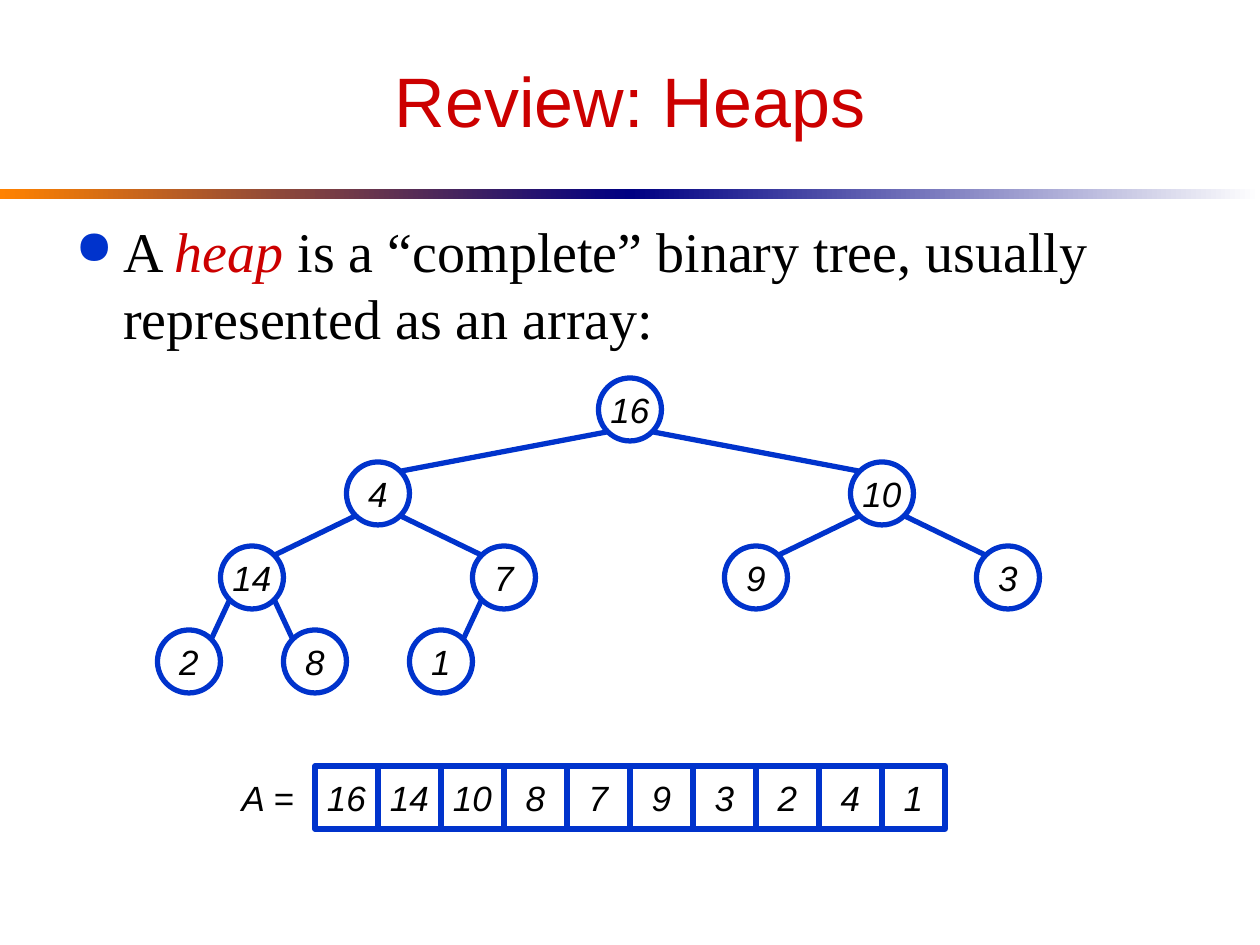
from lxml.etree import SubElement
from pptx import Presentation
from pptx.dml.color import RGBColor
from pptx.enum.shapes import MSO_CONNECTOR, MSO_SHAPE
from pptx.enum.text import MSO_ANCHOR, PP_ALIGN
from pptx.oxml.ns import qn
from pptx.util import Inches, Pt

TITLE = "Review: Heaps"
STATEMENT = [
    ("A ", False),
    ("heap", True),
    (" is a “complete” binary tree, usually represented as an array:", False),
]
TREE_LEVELS = [[16], [4, 10], [14, 7, 9, 3], [2, 8, 1]]
ARRAY_LABEL = "A ="
ARRAY_VALUES = [16, 14, 10, 8, 7, 9, 3, 2, 4, 1]

RED = RGBColor(0xCC, 0x00, 0x00)
BLUE = RGBColor(0x00, 0x33, 0xCC)
BLACK = RGBColor(0x00, 0x00, 0x00)
WHITE = RGBColor(0xFF, 0xFF, 0xFF)
NAVY = RGBColor(0x00, 0x00, 0x82)
ORANGE = RGBColor(0xFF, 0x82, 0x00)

CELL = 0.5
ROOT_X, ROOT_Y = 5, 3.25
LEVEL_STEP = 2 / 3
EDGE_INSET = CELL / 2 * 0.5 ** 0.5
ARRAY_LEFT, ARRAY_TOP = 2.5, 6.08
LABEL_WIDTH = 0.75


def add_span(para, text, size, color, font_name="Arial", italic=False):
    span = para.add_run()
    span.text = text
    span.font.name = font_name
    span.font.size = Pt(size)
    span.font.color.rgb = color
    span.font.italic = italic


def place(shape, left, top, width, height):
    shape.left, shape.top = Inches(left), Inches(top)
    shape.width, shape.height = Inches(width), Inches(height)


def add_centred_text(shape, text):
    frame = shape.text_frame
    frame.word_wrap = False
    frame.vertical_anchor = MSO_ANCHOR.MIDDLE
    para = frame.paragraphs[0]
    para.alignment = PP_ALIGN.CENTER
    add_span(para, text, 20, BLACK, italic=True)


def add_value(shapes, kind, left, top, value):
    """Draw one heap value in a white shape with a blue outline."""
    shape = shapes.add_shape(kind, Inches(left), Inches(top), Inches(CELL), Inches(CELL))
    shape.shadow.inherit = False
    shape.fill.solid()
    shape.fill.fore_color.rgb = WHITE
    shape.line.color.rgb = BLUE
    shape.line.width = Pt(3)
    add_centred_text(shape, str(value))


def add_title(slide):
    title = slide.shapes.title
    place(title, 0.5, 0.25, 9, 1.08)
    title.text_frame.vertical_anchor = MSO_ANCHOR.MIDDLE
    para = title.text_frame.paragraphs[0]
    para.alignment = PP_ALIGN.CENTER
    add_span(para, TITLE, 40, RED)


def add_rule(slide):
    """Draw the two-part gradient bar under the title."""
    for left, left_color, right_color in [(0, ORANGE, NAVY), (5, NAVY, WHITE)]:
        bar = slide.shapes.add_shape(
            MSO_SHAPE.RECTANGLE, Inches(left), Inches(1.5), Inches(5), Inches(0.08))
        bar.shadow.inherit = False
        bar.line.fill.background()
        bar.fill.gradient()
        bar.fill.gradient_angle = 180
        for stop, color in zip(bar.fill.gradient_stops, (right_color, left_color)):
            stop.color.rgb = color


def add_statement(slide):
    box = slide.shapes.add_textbox(Inches(0.5), Inches(1.67), Inches(9), Inches(4.75))
    box.text_frame.word_wrap = True
    para = box.text_frame.paragraphs[0]
    properties = para._p.get_or_add_pPr()
    properties.set("marL", str(Inches(0.38)))
    properties.set("indent", str(-Inches(0.38)))
    bullet_color = SubElement(properties, qn("a:buClr"))
    SubElement(bullet_color, qn("a:srgbClr"), val=str(BLUE))
    SubElement(properties, qn("a:buSzPct"), val="85000")
    SubElement(properties, qn("a:buChar"), char="●")
    for text, is_term in STATEMENT:
        add_span(para, text, 32, RED if is_term else BLACK, "Times New Roman", is_term)


def add_edge(slide, parent, child):
    """Join the lower corner of a parent circle to the upper corner of its child."""
    side = EDGE_INSET if child[0] > parent[0] else -EDGE_INSET
    edge = slide.shapes.add_connector(
        MSO_CONNECTOR.STRAIGHT,
        Inches(parent[0] + side), Inches(parent[1] + EDGE_INSET),
        Inches(child[0] - side), Inches(child[1] - EDGE_INSET))
    edge.line.color.rgb = BLUE
    edge.line.width = Pt(3)
    SubElement(edge._element.spPr, qn("a:effectLst"))


def add_tree(slide):
    centres = [[(ROOT_X, ROOT_Y)]]
    edges = []
    for depth, values in enumerate(TREE_LEVELS[1:], start=1):
        spread = 4 / 2 ** depth
        row = []
        for index in range(len(values)):
            parent = centres[-1][index // 2]
            x = parent[0] + (spread if index % 2 else -spread)
            child = (x, ROOT_Y + depth * LEVEL_STEP)
            row.append(child)
            edges.append((parent, child))
        centres.append(row)

    for row, values in zip(centres, TREE_LEVELS):
        for (x, y), value in zip(row, values):
            add_value(slide.shapes, MSO_SHAPE.OVAL, x - CELL / 2, y - CELL / 2, value)
    for parent, child in edges:
        add_edge(slide, parent, child)


def add_array(slide):
    shapes = slide.shapes.add_group_shape().shapes
    for index, value in enumerate(ARRAY_VALUES):
        add_value(shapes, MSO_SHAPE.RECTANGLE, ARRAY_LEFT + index * CELL, ARRAY_TOP, value)
    label = shapes.add_textbox(
        Inches(ARRAY_LEFT - LABEL_WIDTH), Inches(ARRAY_TOP), Inches(LABEL_WIDTH), Inches(CELL))
    add_centred_text(label, ARRAY_LABEL)


def main():
    deck = Presentation()
    deck.slide_width, deck.slide_height = Inches(10), Inches(7.5)
    slide = deck.slides.add_slide(deck.slide_layouts.get_by_name("Title Only"))
    add_rule(slide)
    add_title(slide)
    add_statement(slide)
    add_tree(slide)
    add_array(slide)
    deck.save("out.pptx")


if __name__ == "__main__":
    main()
